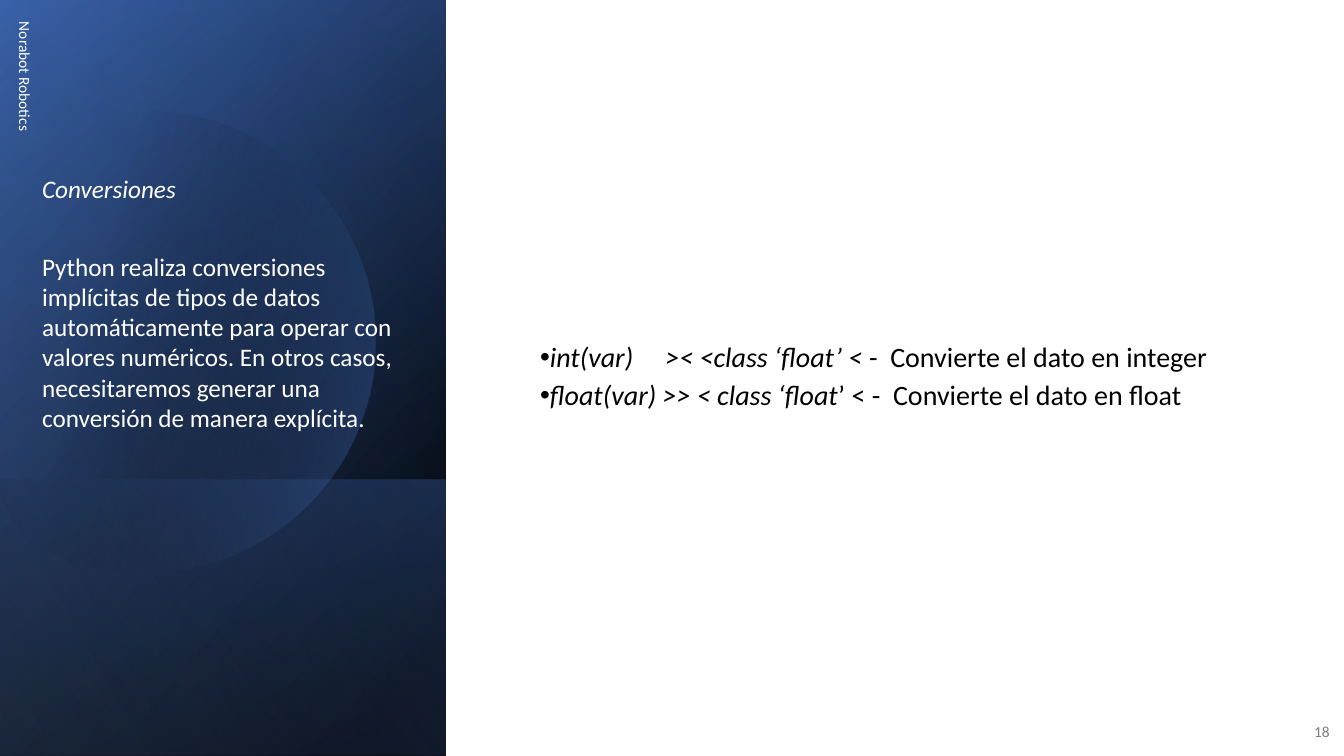
import math
from pptx import Presentation
from pptx import util as u
from pptx.dml.color import RGBColor
from pptx.enum import shapes, text
from pptx.oxml import ns
from lxml import etree

Pt = u.Pt
WHITE, BLACK, GREY = "FFFFFF", "000000", "808080"
NAVY, BLUE, SKY = "2F5597", "4472C4", "8FAADC"


def color(value):
    return RGBColor.from_string(value)


def paint_gradient(shape, stops, angle):
    shape.shadow.inherit = False
    shape.line.fill.background()
    shape.fill.gradient()
    shape.fill.gradient_angle = (360 - angle) % 360
    for stop, (position, value, opacity) in zip(shape.fill.gradient_stops, stops):
        stop.position = position / 100
        stop.color.rgb = color(value)
    tones = shape._element.spPr.iter(ns.qn("a:srgbClr"))
    for tone, (position, value, opacity) in zip(tones, stops):
        etree.SubElement(tone, ns.qn("a:alpha"), val=str(opacity * 1000))


def add_layer(page, box, stops, angle):
    layer = page.shapes.add_shape(shapes.MSO_SHAPE.RECTANGLE, *map(Pt, box))
    paint_gradient(layer, stops, angle)


def add_text(page, box, paragraphs, size, value, anchor=text.MSO_ANCHOR.MIDDLE):
    shape = page.shapes.add_textbox(*map(Pt, box))
    frame = shape.text_frame
    frame.word_wrap = True
    frame.vertical_anchor = anchor
    for index, spans in enumerate(paragraphs):
        para = frame.add_paragraph() if index else frame.paragraphs[0]
        para.space_after = Pt(6)
        for words, italic in spans:
            span = para.add_run()
            span.text = words
            span.font.name = "Calibri"
            span.font.size = Pt(size)
            span.font.italic = italic
            span.font.color.rgb = color(value)
    return shape


def add_disc(page, box):
    left, top, width, height = box
    radius = height / 2
    center_x, center_y = left + width - radius, top + radius
    sweep = math.acos((left - center_x) / radius)
    steps = 120
    angles = [sweep * (2 * step / steps - 1) for step in range(steps + 1)]
    points = [(Pt(center_x + radius * math.cos(a)), Pt(center_y + radius * math.sin(a)))
              for a in angles]
    builder = page.shapes.build_freeform(*points[0])
    builder.add_line_segments(points[1:], close=True)
    paint_gradient(builder.convert_to_shape(), [(29, BLACK, 0), (100, BLUE, 43)], 14)


def add_side_panel(page, box):
    left, top, width, height = box
    band_height = 197.3
    band = (left, top + height - band_height, width, band_height)
    add_layer(page, box, [(8, BLACK, 100), (100, NAVY, 100)], 220)
    add_layer(page, box, [(0, BLACK, 0), (99, BLUE, 46)], 240)
    add_layer(page, band, [(2, BLUE, 29), (100, BLACK, 30)], 140)
    add_disc(page, (left, top + 79, 268.5, 330))
    add_layer(page, box, [(0, BLACK, 0), (99, SKY, 11)], 150)

    brand = add_text(page, (left - 144, top + 156.2, 324, 28.8),
                     [[("Norabot Robotics", False)]], 11, WHITE)
    brand.rotation = 90
    summary = add_text(page, (left + 23, top + 120.2, 265.7, 221.8), [
        [("Conversiones", True)],
        [("Python realiza conversiones implícitas de tipos de datos automáticamente "
          "para operar con valores numéricos. En otros casos, necesitaremos generar "
          "una conversión de manera explícita.", False)],
    ], 18, WHITE, text.MSO_ANCHOR.TOP)
    summary.text_frame.paragraphs[0].space_after = Pt(34)


def add_conversions(page, box):
    listing = add_text(page, box, [
        [("int(var)\t>< <class ‘float’ < ", True),
         ("-  Convierte el dato en integer", False)],
        [("float(var) >> < class ‘float", True),
         ("’ < -  Convierte el dato en float", False)],
    ], 20, BLACK)
    for para in listing.text_frame.paragraphs:
        para.line_spacing = 0.9
        props = para._p.get_or_add_pPr()
        props.set("marL", "0")
        props.set("indent", str(-Pt(18)))
        etree.SubElement(props, ns.qn("a:buFont"), typeface="Arial")
        etree.SubElement(props, ns.qn("a:buChar"), char="•")
        tabs = etree.SubElement(props, ns.qn("a:tabLst"))
        etree.SubElement(tabs, ns.qn("a:tab"), pos=str(Pt(89.5)), algn="l")


def add_page_number(page, box):
    number = add_text(page, box, [[("18", False)]], 11, GREY)
    number.text_frame.paragraphs[0].alignment = text.PP_ALIGN.RIGHT


deck = Presentation()
deck.slide_width, deck.slide_height = Pt(960), Pt(540)
page = deck.slides.add_slide(deck.slide_layouts[6])
page.background.fill.solid()
page.background.fill.fore_color.rgb = color(WHITE)
add_side_panel(page, (0, 0, 318.5, 540))
add_conversions(page, (378.7, 51.1, 516.2, 437))
add_page_number(page, (921.6, 508.3, 35.3, 28.8))
deck.save("out.pptx")
